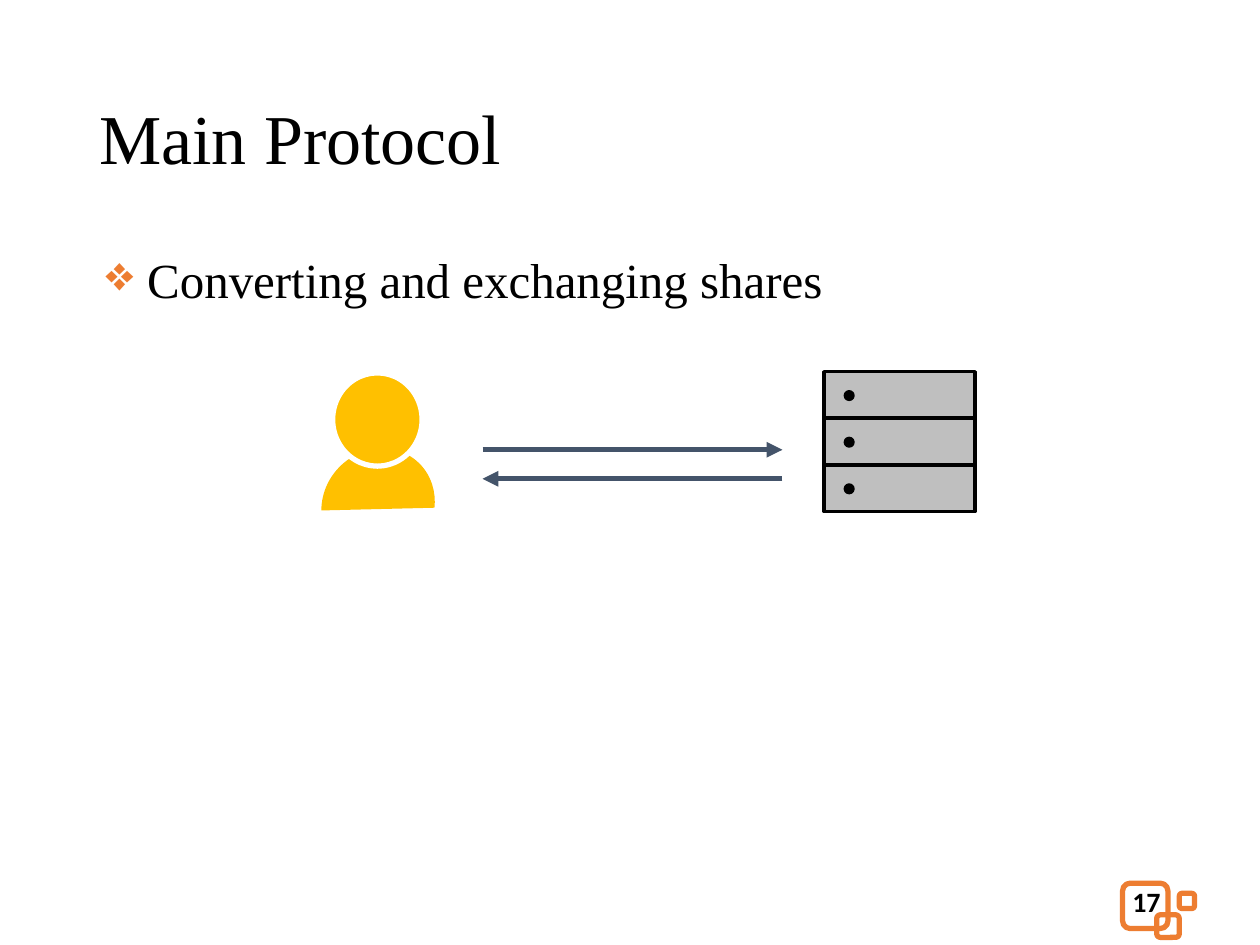
from lxml.etree import SubElement
from pptx import Presentation
from pptx.dml.color import RGBColor
from pptx.enum.shapes import MSO_CONNECTOR as Link, MSO_SHAPE as Kind
from pptx.enum.text import MSO_ANCHOR as Anchor, PP_ALIGN as Align
from pptx.oxml.ns import qn
from pptx.util import Inches, Pt

SERIF = "Times New Roman"
BLACK, WHITE, GREY = "000000", "FFFFFF", "BFBFBF"
ORANGE, GOLD, SLATE = "ED7D31", "FFC000", "44546A"


def rgb(code):
    return RGBColor.from_string(code)


def apply(target, values):
    for name, value in values.items():
        setattr(target, name, value)


def add_text(slide, box, text, font, para=None, anchor=Anchor.TOP, bullet=None):
    """Add a one-paragraph box; bullet is a (sign, colour) pair."""
    frame = slide.shapes.add_textbox(*map(Inches, box)).text_frame
    apply(frame, {"word_wrap": True, "vertical_anchor": anchor})
    line = frame.paragraphs[0]
    apply(line, para or {})
    if bullet:
        add_bullet(line, *bullet)
    run = line.add_run()
    run.text = text
    apply(run.font, font)
    run.font.color.rgb = rgb(BLACK)


def add_bullet(line, sign, color):
    props = line._p.get_or_add_pPr()
    props.set("marL", str(Inches(0.38)))
    props.set("indent", str(Inches(-0.33)))
    tint = SubElement(props, qn("a:buClr"))
    SubElement(tint, qn("a:srgbClr"), val=color)
    SubElement(props, qn("a:buChar"), char=sign)


def add_form(slide, kind, box, fill=None, line=None, width=0):
    form = slide.shapes.add_shape(kind, *map(Inches, box))
    form.shadow.inherit = False
    if fill:
        form.fill.solid()
        form.fill.fore_color.rgb = rgb(fill)
    else:
        form.fill.background()
    if line:
        form.line.color.rgb = rgb(line)
        form.line.width = Pt(width)
    else:
        form.line.fill.background()
    return form


def add_arrow(slide, start, end, y):
    ends = map(Inches, (start, y, end, y))
    arrow = slide.shapes.add_connector(Link.STRAIGHT, *ends)
    arrow.line.color.rgb = rgb(SLATE)
    arrow.line.width = Pt(3)
    SubElement(arrow.line._get_or_add_ln(), qn("a:tailEnd"), type="triangle")
    SubElement(arrow._element.spPr, qn("a:effectLst"))


def add_server(slide, left, top):
    high = 0.37
    for row in range(3):
        y = top + row * high
        add_form(slide, Kind.RECTANGLE, (left, y, 1.2, high), GREY, BLACK, 2)
        add_form(slide, Kind.OVAL, (left + 0.17, y + 0.16, 0.06, 0.06),
                 BLACK, BLACK, 2)


def add_user(slide):
    body = add_form(slide, Kind.CHORD, (2.53, 3.58, 0.94, 0.87), GOLD)
    body.rotation = 130.4
    body.adjustments[0] = 27
    body.adjustments[1] = 138.87
    add_form(slide, Kind.OVAL, (2.64, 2.96, 0.71, 0.74), GOLD, WHITE, 3)


def add_badge(slide):
    """Add the page number and the rounded squares around it."""
    add_text(slide, (7.06, 6.95, 2.25, 0.4), "17",
             {"name": "Calibri", "size": Pt(16), "bold": True},
             {"alignment": Align.RIGHT}, Anchor.MIDDLE)
    for left, top, side in ((8.91, 7.01, 0.36), (9.18, 7.26, 0.18),
                            (9.36, 7.09, 0.12)):
        add_form(slide, Kind.ROUNDED_RECTANGLE, (left, top, side, side),
                 line=ORANGE, width=3)


def main():
    deck = Presentation()
    apply(deck, {"slide_width": Inches(10), "slide_height": Inches(7.5)})
    slide = deck.slides.add_slide(deck.slide_layouts[6])
    add_badge(slide)
    add_text(slide, (0.69, 0.4, 8.62, 1.45), "Main Protocol",
             {"name": SERIF, "size": Pt(40)}, {"line_spacing": 0.9},
             Anchor.MIDDLE)
    add_text(slide, (0.69, 1.7, 8.62, 5.06), "Converting and exchanging shares",
             {"name": SERIF, "size": Pt(28)}, {"line_spacing": 1.5},
             bullet=("❖", ORANGE))
    add_server(slide, 6.54, 2.95)
    add_arrow(slide, 3.83, 6.21, 3.57)
    add_arrow(slide, 6.21, 3.83, 3.8)
    add_user(slide)
    deck.save("out.pptx")


if __name__ == "__main__":
    main()
